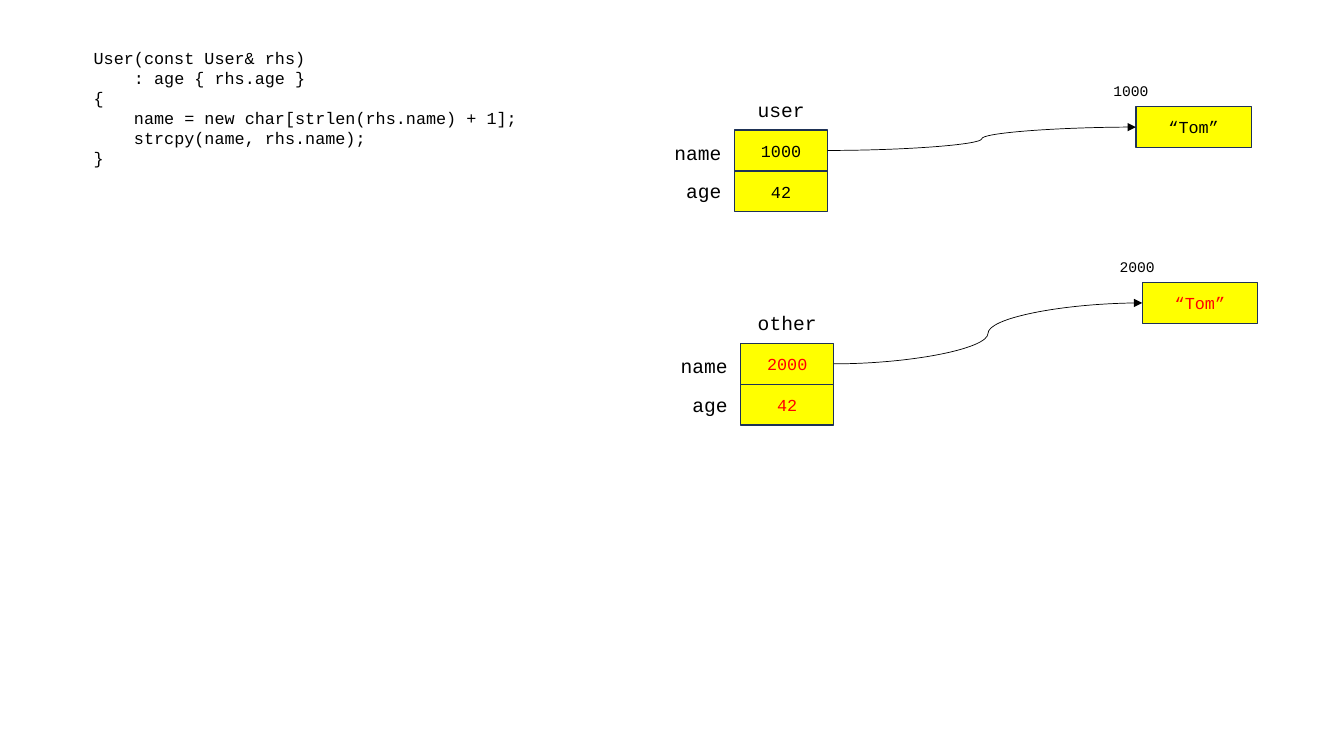
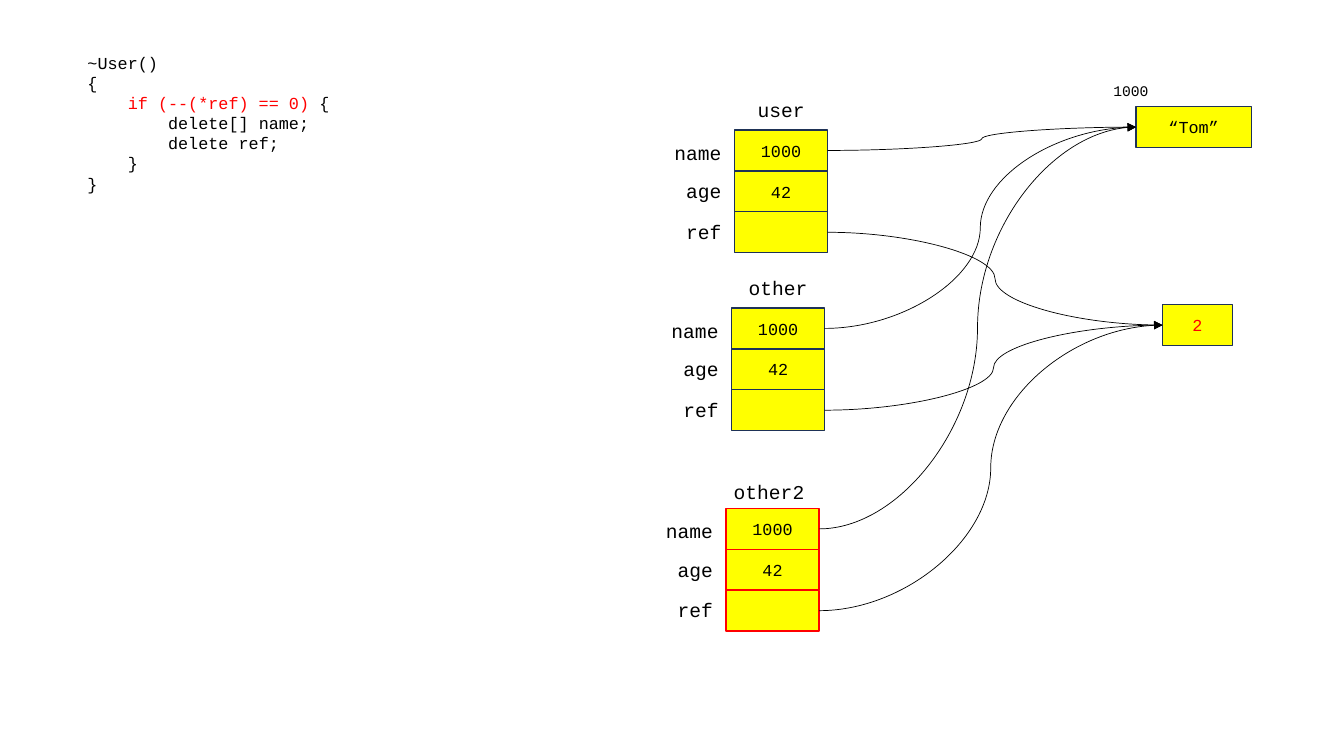
from lxml.etree import SubElement
from pptx import Presentation
from pptx.dml.color import RGBColor
from pptx.enum.shapes import MSO_CONNECTOR, MSO_SHAPE
from pptx.enum.text import MSO_ANCHOR, MSO_AUTO_SIZE, PP_ALIGN
from pptx.oxml.ns import qn
from pptx.util import Pt

BLACK = RGBColor(0x00, 0x00, 0x00)
RED = RGBColor(0xFF, 0x00, 0x00)
YELLOW = RGBColor(0xFF, 0xFF, 0x00)
NAVY = RGBColor(0x1E, 0x32, 0x56)

FONT = "Courier New"
CODE_INDENT = 28.8
CELL_WIDTH = 66.5
CELL_HEIGHT = 29.2
STRING_WIDTH = 82.5
COUNTER_WIDTH = 50
LABEL_WIDTH = 59
LABEL_HEIGHT = 24.2
FIELDS = {"name": 4, "age": 31.5, "ref": 60.6}
LEFT_SITE, RIGHT_SITE = 1, 3

COPY_CONSTRUCTOR = [
    (1, [("User(const User& rhs)", BLACK)]),
    (2, [(": age { rhs.age }", BLACK)]),
    (1, [("{", BLACK)]),
    (2, [("name = new char[strlen(rhs.name) + 1];", BLACK)]),
    (2, [("strcpy(name, rhs.name);", BLACK)]),
    (1, [("}", BLACK)]),
]
DESTRUCTOR = [
    (1, [("~User()", BLACK)]),
    (1, [("{", BLACK)]),
    (2, [("if (--(*ref) == 0) ", RED), ("{", BLACK)]),
    (3, [("delete[] name;", BLACK)]),
    (3, [("delete ref;", BLACK)]),
    (2, [("}", BLACK)]),
    (1, [("}", BLACK)]),
]


def format_run(run, size, color):
    run.font.name = FONT
    run.font.size = Pt(size)
    run.font.color.rgb = color


def write_line(text_frame, text, size, color, alignment):
    paragraph = text_frame.paragraphs[0]
    paragraph.text = text
    paragraph.alignment = alignment
    for run in paragraph.runs:
        format_run(run, size, color)


def add_text_frame(slide, left, top, width, height):
    shape = slide.shapes.add_textbox(Pt(left), Pt(top), Pt(width), Pt(height))
    shape.text_frame.word_wrap = True
    shape.text_frame.auto_size = MSO_AUTO_SIZE.SHAPE_TO_FIT_TEXT
    return shape.text_frame


def add_label(slide, text, left, top, width, height=LABEL_HEIGHT, size=14,
              alignment=PP_ALIGN.CENTER):
    text_frame = add_text_frame(slide, left, top, width, height)
    write_line(text_frame, text, size, BLACK, alignment)


def add_code(slide, lines, left, top, width, height):
    text_frame = add_text_frame(slide, left, top, width, height)
    for index, (level, pieces) in enumerate(lines):
        paragraph = text_frame.add_paragraph() if index else text_frame.paragraphs[0]
        properties = paragraph._p.get_or_add_pPr()
        properties.set("marL", str(Pt(level * CODE_INDENT)))
        properties.set("indent", "0")
        for text, color in pieces:
            run = paragraph.add_run()
            run.text = text
            format_run(run, 12, color)


def add_cell(slide, text, left, top, width=CELL_WIDTH, ink=BLACK, outline=NAVY):
    shape = slide.shapes.add_shape(
        MSO_SHAPE.RECTANGLE, Pt(left), Pt(top), Pt(width), Pt(CELL_HEIGHT))
    shape.shadow.inherit = False
    shape.fill.solid()
    shape.fill.fore_color.rgb = YELLOW
    shape.line.color.rgb = outline
    shape.line.width = Pt(1)
    shape.text_frame.vertical_anchor = MSO_ANCHOR.MIDDLE
    write_line(shape.text_frame, text, 12, ink, PP_ALIGN.CENTER)
    return shape


def add_object(slide, title, values, left, top, ink=BLACK, outline=NAVY,
               title_shift=0, title_rise=26.6):
    title_width = max(57.6, len(title) * 8.4 + 15)
    title_left = left + (CELL_WIDTH - title_width) / 2 + title_shift
    add_label(slide, title, title_left, top - title_rise, title_width)
    cells = {}
    for row, (value, (field, offset)) in enumerate(zip(values, FIELDS.items())):
        cells[field] = add_cell(
            slide, value, left, top + row * CELL_HEIGHT, ink=ink, outline=outline)
        add_label(slide, field, left - 61.2, top + offset, LABEL_WIDTH,
                  alignment=PP_ALIGN.RIGHT)
    return cells


def add_heap_string(slide, address, left, top, ink=BLACK):
    add_label(slide, address, left - 32.4, top - 21, 57.6, 20.9, 10.5)
    return add_cell(slide, "“Tom”", left, top, STRING_WIDTH, ink)


def add_pointer(slide, source, target):
    connector = slide.shapes.add_connector(MSO_CONNECTOR.CURVE, 0, 0, 0, 0)
    connector.begin_connect(source, RIGHT_SITE)
    connector.end_connect(target, LEFT_SITE)
    connector.line.color.rgb = BLACK
    connector.line.width = Pt(0.5)
    SubElement(connector.line._get_or_add_ln(), qn("a:tailEnd"), type="triangle")
    SubElement(connector._element.spPr, qn("a:effectLst"))


def add_user(slide, values):
    cells = add_object(slide, "user", values, 524.7, 92.9)
    heap_string = add_heap_string(slide, "1000", 811.4, 76.2)
    add_pointer(slide, cells["name"], heap_string)
    return cells, heap_string


def build_deep_copy(slide):
    add_user(slide, ["1000", "42"])
    other = add_object(slide, "other", ["2000", "42"], 529.1, 245.3, ink=RED)
    other_string = add_heap_string(slide, "2000", 815.9, 201.8, RED)
    add_pointer(slide, other["name"], other_string)
    add_code(slide, COPY_CONSTRUCTOR, 31, 30.2, 480, 94.3)


def build_reference_count(slide):
    values = ["1000", "42", ""]
    user, heap_string = add_user(slide, values)
    counter = add_cell(slide, "2", 830.3, 217.6, COUNTER_WIDTH, RED)
    other = add_object(slide, "other", values, 522.6, 220)
    other2 = add_object(slide, "other2", values, 518.6, 363.2, outline=RED,
                        title_shift=-2.5, title_rise=24.2)
    for copy in (other, other2):
        add_pointer(slide, copy["name"], heap_string)
    for owner in (user, other, other2):
        add_pointer(slide, owner["ref"], counter)
    add_code(slide, DESTRUCTOR, 26.6, 33.8, 273, 108.7)


def main():
    presentation = Presentation()
    presentation.slide_width = Pt(960)
    presentation.slide_height = Pt(540)
    blank_layout = presentation.slide_layouts[6]
    for build in (build_deep_copy, build_reference_count):
        build(presentation.slides.add_slide(blank_layout))
    presentation.save("out.pptx")


main()
